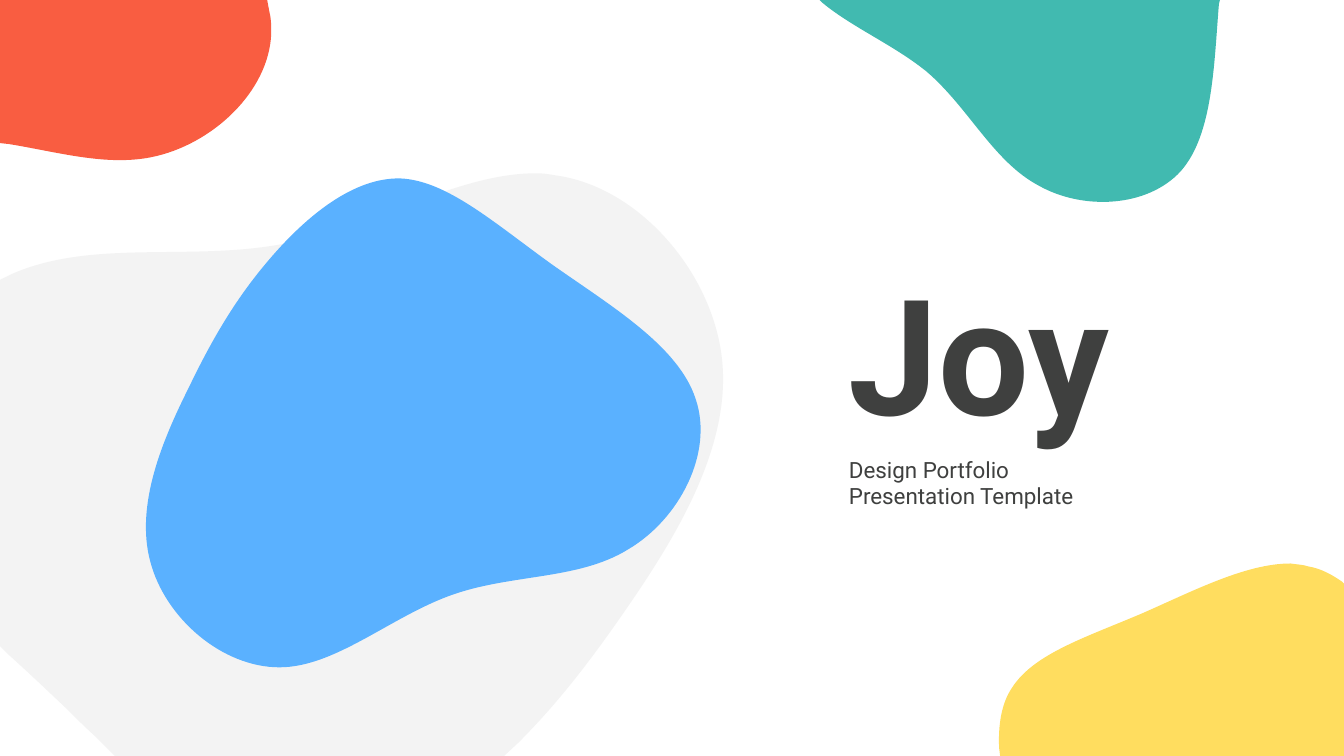
"""Build the Joy portfolio cover slide with its coloured blobs."""
import lxml.etree
import pptx
import pptx.dml.color
import pptx.enum.text
import pptx.oxml.ns
import pptx.util
from pptx.util import Inches

COLORS = {
    "gray": "F3F3F3",
    "blue": "5AB1FF",
    "red": "F95D41",
    "teal": "41BAB0",
    "gold": "FFDD5F",
    "ink": "3F403F",
}
WIDTH, HEIGHT = 13.33, 7.5
BLEED = 13.35

GRAY = [
    (5.35, 1.72),
    (5.4, 1.72, 5.45, 1.73, 5.51, 1.74),
    (6.33, 1.85, 7.06, 2.69, 7.16, 3.55),
    (7.26, 4.41, 6.72, 5.3, 6.24, 6),
    (5.87, 6.54, 5.54, 6.97, 5.14, 7.37),
    (5, HEIGHT),
    (1.14, HEIGHT),
    (0.95, 7.31),
    (0.85, 7.22, 0.76, 7.13, 0.67, 7.04),
    (0.48, 6.86, 0.28, 6.67, 0.08, 6.49),
    (0, 6.41),
    (0, 2.78),
    (0.01, 2.77),
    (0.06, 2.75, 0.11, 2.72, 0.16, 2.7),
    (0.97, 2.37, 1.93, 2.6, 2.86, 2.41),
    (3.73, 2.24, 4.58, 1.7, 5.35, 1.72),
]
BLUE = [
    (3.97, 1.77),
    (4.43, 1.79, 4.9, 2.21, 5.47, 2.62),
    (6.05, 3.03, 6.73, 3.43, 6.9, 3.96),
    (7.08, 4.49, 6.74, 5.15, 6.23, 5.45),
    (5.73, 5.76, 5.06, 5.69, 4.46, 5.91),
    (3.86, 6.13, 3.32, 6.62, 2.77, 6.62),
    (2.21, 6.62, 1.64, 6.14, 1.49, 5.57),
    (1.34, 5.01, 1.61, 4.37, 1.87, 3.85),
    (2.12, 3.33, 2.36, 2.93, 2.7, 2.54),
    (3.04, 2.15, 3.5, 1.76, 3.97, 1.77),
]
RED = [
    (0, 0),
    (2.65, 0),
    (2.67, 0.11),
    (2.69, 0.18, 2.69, 0.26, 2.69, 0.33),
    (2.67, 0.91, 2.1, 1.44, 1.5, 1.56),
    (1.05, 1.65, 0.58, 1.51, 0.09, 1.43),
    (0, 1.42),
]
TEAL = [
    (8.13, 0),
    (12.1, 0),
    (12.09, 0.04),
    (12.04, 0.65, 12.03, 1.34, 11.71, 1.7),
    (11.38, 2.06, 10.74, 2.09, 10.3, 1.84),
    (9.85, 1.6, 9.61, 1.07, 9.19, 0.71),
    (8.87, 0.45, 8.45, 0.27, 8.16, 0.03),
]
GOLD = [
    (12.8, 5.59),
    (12.86, 5.6, 12.92, 5.6, 12.98, 5.62),
    (13.1, 5.64, 13.21, 5.7, 13.31, 5.77),
    (BLEED, 5.81),
    (BLEED, HEIGHT),
    (9.92, HEIGHT),
    (9.91, 7.42),
    (9.9, 7.2, 9.93, 6.98, 10.04, 6.82),
    (10.26, 6.48, 10.78, 6.32, 11.34, 6.08),
    (11.84, 5.86, 12.36, 5.59, 12.8, 5.59),
]


def get_color(name):
    """Return the named colour."""
    return pptx.dml.color.RGBColor.from_string(COLORS[name])


def add_node(parent, tag, **values):
    """Append a drawing element and return it."""
    node = lxml.etree.SubElement(parent, pptx.oxml.ns.qn(tag))
    for key, value in values.items():
        node.set(key, str(value))
    return node


def bend(blob, parts):
    """Redraw the outline with lines (two numbers) and curves (six)."""
    trace = blob.element.xpath(".//a:path")[0]
    for child in list(trace):
        trace.remove(child)
    for index, part in enumerate(parts):
        tag = "a:cubicBezTo" if len(part) == 6 else "a:lnTo"
        node = add_node(trace, tag if index else "a:moveTo")
        for x, y in zip(part[::2], part[1::2]):
            add_node(node, "a:pt", x=Inches(x) - blob.left,
                     y=Inches(y) - blob.top)
    add_node(trace, "a:close")


def add_blob(slide, parts, color):
    """Draw one closed, filled outline."""
    ends = [(Inches(part[-2]), Inches(part[-1])) for part in parts]
    pen = slide.shapes.build_freeform(*ends[0])
    pen.add_line_segments(ends[1:], close=True)
    blob = pen.convert_to_shape()
    bend(blob, parts)
    blob.shadow.inherit = False
    blob.fill.solid()
    blob.fill.fore_color.rgb = get_color(color)
    blob.line.fill.background()


def add_text(slide, lines, top, height, size, anchor, bold=False):
    """Add one paragraph with a break between its lines."""
    box = slide.shapes.add_textbox(
        Inches(8.42), Inches(top), Inches(3.46), Inches(height))
    frame = box.text_frame
    frame.word_wrap = True
    frame.vertical_anchor = anchor
    frame.margin_left = frame.margin_right = 0
    frame.margin_top = frame.margin_bottom = 0
    para = frame.paragraphs[0]
    for index, line in enumerate(lines):
        if index:
            para.add_line_break()
        para.add_run().text = line
    font = para.font
    font.name = "Roboto"
    font.size = pptx.util.Pt(size)
    font.bold = bold
    font.color.rgb = get_color("ink")


def main():
    """Build and save the slide."""
    deck = pptx.Presentation()
    deck.slide_width = Inches(WIDTH)
    deck.slide_height = Inches(HEIGHT)
    slide = deck.slides.add_slide(deck.slide_layouts[6])
    anchor = pptx.enum.text.MSO_ANCHOR
    add_blob(slide, GRAY, "gray")
    add_blob(slide, BLUE, "blue")
    add_text(slide, ["Joy"], 2.52, 1.93, 115, anchor.MIDDLE, bold=True)
    add_text(slide, ["Design Portfolio ", "Presentation Template"],
             4.52, 0.59, 16, anchor.TOP)
    add_blob(slide, RED, "red")
    add_blob(slide, TEAL, "teal")
    add_blob(slide, GOLD, "gold")
    deck.save("out.pptx")


if __name__ == "__main__":
    main()
